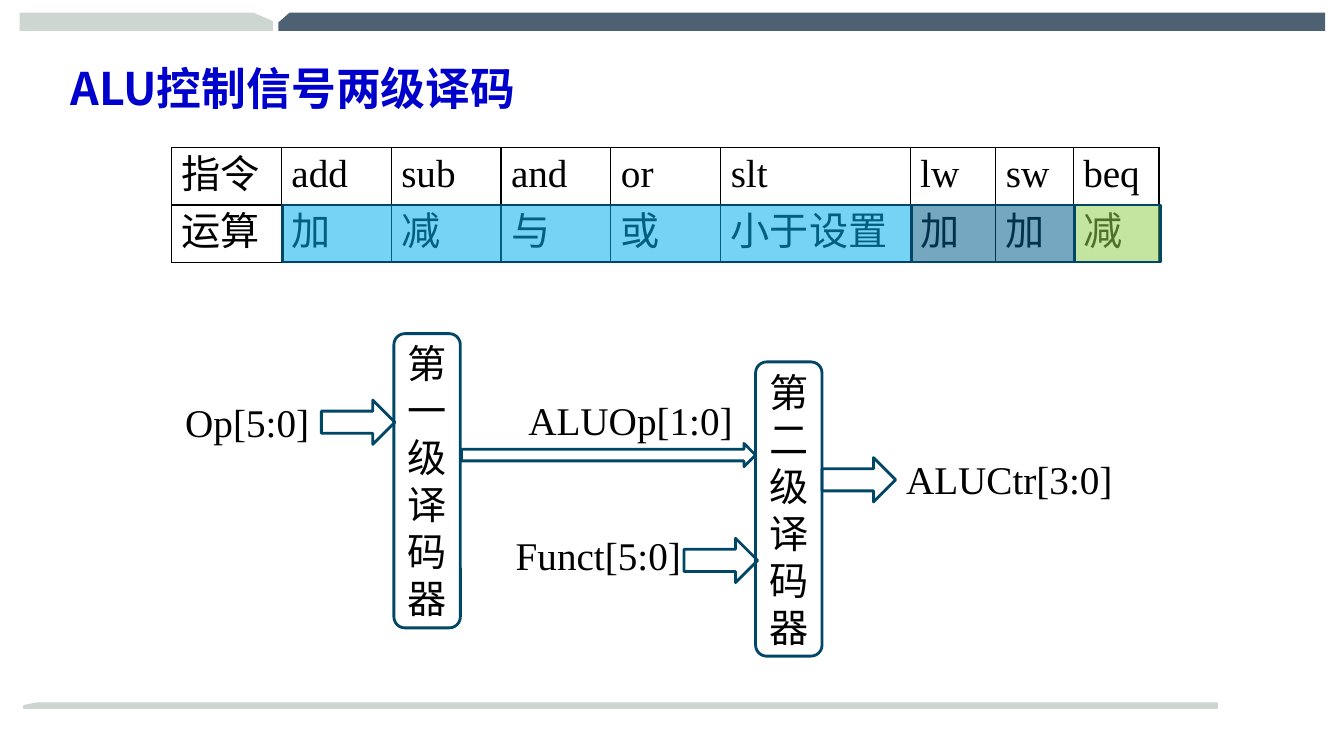
import pptx
import pptx.dml.color
import pptx.enum.shapes
import pptx.enum.text
import pptx.oxml
import pptx.oxml.ns
import pptx.util
from lxml import etree

Pt = pptx.util.Pt
Shapes = pptx.enum.shapes.MSO_SHAPE
Align = pptx.enum.text.PP_ALIGN
Anchor = pptx.enum.text.MSO_ANCHOR
qn = pptx.oxml.ns.qn

CHINESE_FONT = "Noto Sans CJK JP"
NAVY = "004767"
GREY = "CDD6D1"
BODY = {"name": "Times New Roman", "size": Pt(28)}
CHINESE_BODY = {"name": CHINESE_FONT, "size": Pt(28)}
CHINESE_SPACING = Pt(33.6)


def paint(shape, fill=None, line=None, width=2, opacity=None):
    """Set fill and outline from hex colours; None leaves the part empty."""
    shape.shadow.inherit = False
    for part, colour in ((shape.fill, fill), (shape.line.fill, line)):
        if colour is None:
            part.background()
        else:
            part.solid()
            part.fore_color.rgb = pptx.dml.color.RGBColor.from_string(colour)
    if line:
        shape.line.width = Pt(width)
    if opacity:
        colour_element = shape._element.spPr.find(qn("a:solidFill"))[0]
        etree.SubElement(colour_element, qn("a:alpha"), val=str(opacity * 1000))


def write(text_frame, text, font_format, colour="000000", **paragraph_format):
    paragraph = text_frame.paragraphs[0]
    for name, value in paragraph_format.items():
        setattr(paragraph, name, value)
    run = paragraph.add_run()
    run.text = text
    for name, value in font_format.items():
        setattr(run.font, name, value)
    run.font.color.rgb = pptx.dml.color.RGBColor.from_string(colour)
    etree.SubElement(run._r.get_or_add_rPr(), qn("a:ea"), typeface=CHINESE_FONT)


presentation = pptx.Presentation()
presentation.slide_width = Pt(960.48)
presentation.slide_height = Pt(540)
slide = presentation.slides.add_slide(presentation.slide_layouts[5])

# Decorative bars
bars = [
    ([(195.1, 22.3), (13.7, 22.3), (13.7, 9.4), (181.4, 9.4), (195.1, 15.1)], GREY, None),
    ([(946.8, 9.4), (946.8, 22.3), (199.4, 22.3), (199.4, 15.8), (207.4, 9.4)], "4E6172", None),
    ([(870, 501.8), (870, 506.2), (17.3, 506.2), (17.3, 504), (26.6, 501.8)], GREY, GREY),
]
for points, fill, line in bars:
    builder = slide.shapes.build_freeform(*points[0], scale=Pt(1))
    builder.add_line_segments(points[1:], close=True)
    paint(builder.convert_to_shape(), fill, line, width=0.75)

# Title
title = slide.shapes.title
title.left, title.top, title.width, title.height = Pt(43.2), Pt(33.8), Pt(554.4), Pt(64.1)
title.text_frame.vertical_anchor = Anchor.MIDDLE
write(title.text_frame, "ALU控制信号两级译码",
      {"name": CHINESE_FONT, "size": Pt(32), "bold": True}, "0000CC",
      alignment=Align.LEFT, line_spacing=0.85)

# Decoder boxes, one character to a line
for text, left, top in [("第一级译码器", 281.5, 238.3), ("第二级译码器", 540, 258.5)]:
    box = slide.shapes.add_shape(Shapes.ROUNDED_RECTANGLE, Pt(left), Pt(top), Pt(47.5), Pt(210.2))
    paint(box, line=NAVY)
    frame = box.text_frame
    frame.word_wrap = True
    frame.vertical_anchor = Anchor.MIDDLE
    frame.margin_left = frame.margin_right = Pt(5)
    write(frame, text, CHINESE_BODY, alignment=Align.CENTER, line_spacing=CHINESE_SPACING)

# Signal arrows and their labels
arrows = [
    (229.7, 285.8, 52.6, 31.7),
    (329.8, 316.8, 210.2, 16.6),
    (488.9, 384.5, 52.6, 31.7),
    (587.5, 326.9, 52.6, 31.7),
]
for left, top, width, height in arrows:
    arrow = slide.shapes.add_shape(Shapes.RIGHT_ARROW, Pt(left), Pt(top), Pt(width), Pt(height))
    paint(arrow, line=NAVY)

labels = [
    ("Op[5:0]", 125.3, 280.8, 104.4),
    ("ALUOp[1:0]", 370.5, 279.4, 162),
    ("Funct[5:0]", 361.5, 375.8, 133.9),
    ("ALUCtr[3:0]", 639.5, 321.8, 164.2),
]
for text, left, top, width in labels:
    label = slide.shapes.add_textbox(Pt(left), Pt(top), Pt(width), Pt(41))
    label.text_frame.word_wrap = False
    label.text_frame.margin_left = Pt(7.2 if left < 600 else 8)
    write(label.text_frame, text, BODY)

# Instruction table
rows = [
    ["指令", "add", "sub", "and", "or", "slt", "lw", "sw", "beq"],
    ["运算", "加", "减", "与", "或", "小于设置", "加", "加", "减"],
]
column_widths = [78.5] * 5 + [135.4, 61.2, 55.4, 61.2]
table_left, table_top, row_height = 122.6, 105.6, 40.8
table = slide.shapes.add_table(
    len(rows), len(column_widths), Pt(table_left), Pt(table_top),
    Pt(sum(column_widths)), Pt(row_height * len(rows))).table
for column, width in zip(table.columns, column_widths):
    column.width = Pt(width)
for row, texts in zip(table.rows, rows):
    row.height = Pt(row_height)
    for cell, text in zip(row.cells, texts):
        write(cell.text_frame, text, BODY,
              line_spacing=None if text.isascii() else CHINESE_SPACING)
        properties = cell._tc.get_or_add_tcPr()
        for side in ("lnL", "lnR", "lnT", "lnB"):
            border = etree.SubElement(properties, qn("a:" + side), w=str(Pt(1)))
            border_fill = etree.SubElement(border, qn("a:solidFill"))
            etree.SubElement(border_fill, qn("a:srgbClr"), val="000000")
        cell.fill.solid()
        cell.fill.fore_color.rgb = pptx.dml.color.RGBColor.from_string("FFFFFF")

# Translucent groups over the operation row: first and last column of each
for first, last, colour in [(6, 7, "00608B"), (8, 8, "92D050"), (1, 5, "00B0F0")]:
    group = slide.shapes.add_shape(
        Shapes.RECTANGLE,
        Pt(table_left + sum(column_widths[:first]) + 1), Pt(table_top + row_height),
        Pt(sum(column_widths[first:last + 1])), Pt(row_height))
    paint(group, colour, NAVY, opacity=54)

presentation.save("out.pptx")
